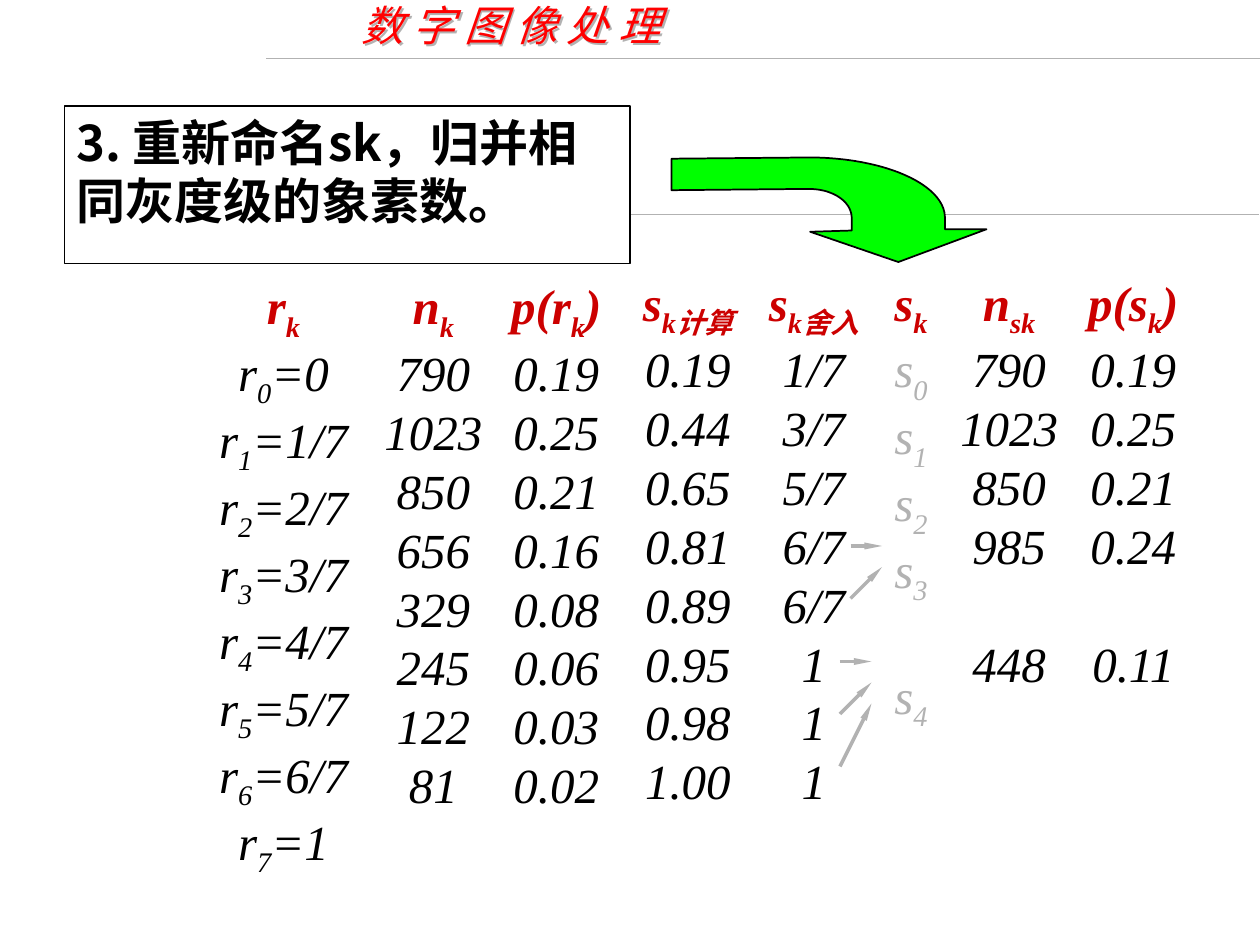
from lxml.etree import SubElement
from pptx import Presentation
from pptx.dml.color import RGBColor
from pptx.enum.shapes import MSO_CONNECTOR as Connector, MSO_SHAPE as Shape
from pptx.enum.text import MSO_ANCHOR as Anchor, PP_ALIGN as Align
from pptx.oxml.ns import qn
from pptx.util import Inches, Pt

RED, BLACK, GREY = "CC0000", "000000", "B2B2B2"
SERIF, SANS, TITLE_FONT = "Times New Roman", "Noto Sans CJK SC", "TeX Gyre Pagella"
GRID = 1 / 12  # inches per grid unit for the merge arrows
ROW = 33.6  # points per plain table row

# Each column: left, top, width, header, text colour, rows.
# "_" starts a subscript and "|" ends it; None leaves a row empty.
COLUMNS = [
    (1.64, 2.14, 1.22, "r_k", BLACK,
     ["r_0|=0"] + [f"r_{k}|={k}/7" for k in range(1, 7)] + ["r_7|=1"]),
    (2.84, 2.14, 1.2, "n_k", BLACK, "790 1023 850 656 329 245 122 81".split()),
    (3.93, 2.14, 0.97, "p(r_k|)", BLACK,
     "0.19 0.25 0.21 0.16 0.08 0.06 0.03 0.02".split()),
    (4.93, 2.11, 1.06, "s_k计算", BLACK,
     "0.19 0.44 0.65 0.81 0.89 0.95 0.98 1.00".split()),
    (5.93, 2.11, 1.06, "s_k舍入", BLACK, "1/7 3/7 5/7 6/7 6/7 1 1 1".split()),
    (6.97, 2.11, 0.52, "s_k", GREY, ["s_0", "s_1", "s_2", "s_3", None, "s_4"]),
    (7.46, 2.11, 1.1, "n_sk", BLACK, ["790", "1023", "850", "985", None, "448"]),
    (8.51, 2.11, 0.97, "p(s_k|)", BLACK,
     ["0.19", "0.25", "0.21", "0.24", None, "0.11"]),
]
# Each group: left, right, target rows and source rows, in grid units
ARROW_GROUPS = [(80, 83, (63, 65, 67), (63, 68, 73)), (81, 84, (52, 54), (52, 57))]


def color(value):
    return RGBColor.from_string(value)


def add_span(para, text, fill, baseline=0, **formats):
    span = para.add_run()
    span.text = text
    for name, value in formats.items():
        setattr(span.font, name, value)
    span.font.color.rgb = color(fill)
    if baseline:
        span.font._element.set("baseline", str(baseline * 1000))
    return span


def add_marked_text(para, text, fill, bold):
    """Add text whose subscripts are marked by "_" and "|"."""
    base, _, rest = text.partition("_")
    sub, _, tail = rest.partition("|")
    for part, baseline in ((base, 0), (sub, -25), (tail, 0)):
        if part:
            add_span(para, part, fill, baseline, size=Pt(28), name=SERIF,
                     bold=bold, italic=True)


def add_line(page, start, end, width, arrow=False):
    line = page.shapes.add_connector(
        Connector.STRAIGHT, *(Inches(value) for value in (*start, *end)))
    line.line.color.rgb = color(GREY)
    line.line.width = Pt(width)
    if arrow:
        SubElement(line.line._get_or_add_ln(), qn("a:tailEnd"),
                   type="triangle", w="sm", len="lg")
    SubElement(line._element.spPr, qn("a:effectLst"))


def add_header(page, left, top, width, height):
    for start, end, y in ((1.82, 9.99, 1.7), (2.11, 10, 0.46)):
        add_line(page, (end, y), (start, y), 0.25)
    box = page.shapes.add_textbox(*map(Inches, (left, top, width, height)))
    box.text_frame.word_wrap = False
    add_span(box.text_frame.paragraphs[0], "数 字 图 像 处 理", "FF0000",
             size=Pt(24), name=TITLE_FONT, italic=True)
    effects = SubElement(box._element.spPr, qn("a:effectLst"))
    shadow = SubElement(effects, qn("a:outerShdw"), dist="17961", dir="2700000")
    SubElement(shadow, qn("a:srgbClr"), val=GREY)


def add_column(page, left, top, width, header, fill, rows):
    box = page.shapes.add_textbox(*map(Inches, (left, top, width, 4.37)))
    frame = box.text_frame
    frame.word_wrap = False
    para = frame.paragraphs[0]
    para.alignment = Align.CENTER
    add_marked_text(para, header, RED, True)
    gap = 0
    for row in rows:
        if row is None:
            gap += ROW
            continue
        para = frame.add_paragraph()
        para.alignment = Align.CENTER
        para.space_before = Pt(gap)
        add_marked_text(para, row, fill, False)
        gap = 0


def add_merge_arrows(page, left, right, targets, sources):
    for target, source in zip(targets, sources):
        add_line(page, (left * GRID, source * GRID), (right * GRID, target * GRID),
                 2, arrow=True)


def add_step(page, left, top, width, height):
    box = page.shapes.add_shape(
        Shape.RECTANGLE, *map(Inches, (left, top, width, height)))
    box.shadow.inherit = False
    box.fill.solid()
    box.fill.fore_color.rgb = color("FFFFFF")
    box.line.color.rgb = color(BLACK)
    box.line.width = Pt(0.75)
    box.text_frame.word_wrap = True
    box.text_frame.vertical_anchor = Anchor.TOP
    para = box.text_frame.paragraphs[0]
    para.alignment = Align.LEFT
    span = add_span(para, "3. 重新命名sk，归并相同灰度级的象素数。", BLACK,
                    size=Pt(28), name=SANS, bold=True)
    latin = span.font._element.find(qn("a:latin"))
    latin.addnext(SubElement(span.font._element, qn("a:ea"), typeface=SANS))


def curve(start, first, second, end, steps=24):
    """Points along a cubic curve, without its start."""
    for step in range(1, steps + 1):
        t = step / steps
        weights = ((1 - t) ** 3, 3 * t * (1 - t) ** 2, 3 * t * t * (1 - t), t ** 3)
        yield tuple(sum(weight * point[axis] for weight, point
                        in zip(weights, (start, first, second, end)))
                    for axis in (0, 1))


def add_bent_arrow(page, left, top):
    outer = curve((2.17, 0.47), (2.16, 0.21), (1.68, 0), (1.09, 0))
    inner = curve((1.09, 0.25), (1.28, 0.25), (1.43, 0.35), (1.43, 0.48))
    points = [(1.8, 0.83), (2.5, 0.57), (2.17, 0.57), (2.17, 0.47), *outer,
              (0, 0.01), (0, 0.26), (1.09, 0.25), *inner, (1.43, 0.58), (1.1, 0.59)]
    placed = [(Inches(left + x), Inches(top + y)) for x, y in points]
    builder = page.shapes.build_freeform(*placed[0])
    builder.add_line_segments(placed[1:], close=True)
    arrow = builder.convert_to_shape()
    arrow.shadow.inherit = False
    arrow.fill.solid()
    arrow.fill.fore_color.rgb = color("00FF00")
    arrow.line.color.rgb = color(BLACK)
    arrow.line.width = Pt(1)


def main():
    deck = Presentation()
    deck.slide_width, deck.slide_height = Inches(10), Inches(7.5)
    page = deck.slides.add_slide(deck.slide_layouts[6])
    add_header(page, 2.77, -0.05, 2.57, 0.5)
    for column in COLUMNS:
        add_column(page, *column)
    for group in ARROW_GROUPS:
        add_merge_arrows(page, *group)
    add_step(page, 0.51, 0.84, 4.49, 1.25)
    add_bent_arrow(page, 5.33, 1.25)
    deck.save("out.pptx")


if __name__ == "__main__":
    main()
